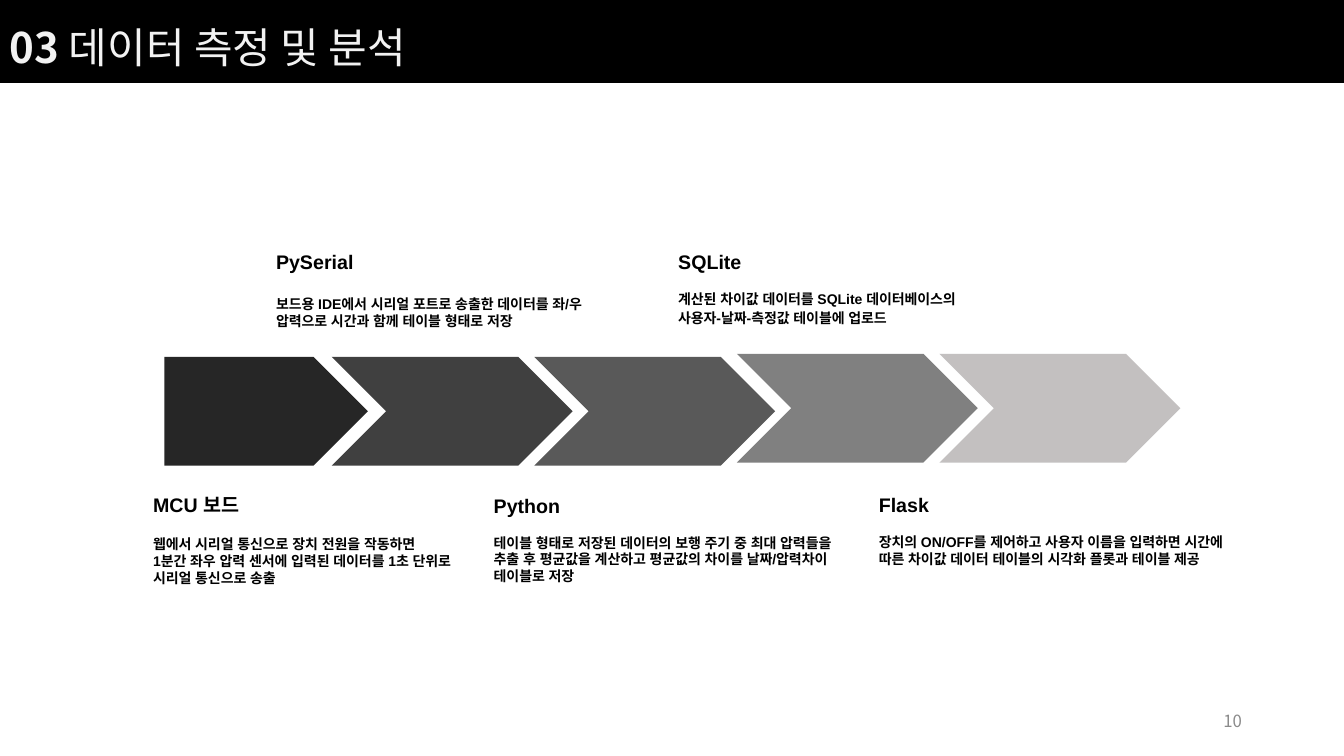
from lxml import etree
from pptx import Presentation
from pptx import util as u
from pptx.dml import color
from pptx.enum import shapes, text
from pptx.oxml import ns

UNIT = 0.1  # inches per grid column and row
COLS, ROWS = 133.33, 75
SANS, CJK = "Arial", "Noto Sans CJK KR"


def grid(n):
    return u.Inches(n * UNIT)


def rgb(code):
    return color.RGBColor.from_string(code)


class Board:
    """Holds the current slide and draws on it in grid units."""

    def __init__(self, slide):
        self.slide = slide

    def block(self, kind, x, y, w, h, fill, home=None, edge=0, alpha=100):
        """Draw a filled preset shape on the slide or in the group home."""
        home = home or self.slide
        item = home.shapes.add_shape(kind, *map(grid, (x, y, w, h)))
        item.shadow.inherit = False
        item.fill.solid()
        item.fill.fore_color.rgb = rgb(fill)
        if edge:
            item.line.color.rgb = rgb(fill)
            item.line.width = u.Pt(edge)
        else:
            item.line.fill.background()
        if alpha < 100:
            tone = item._element.spPr.find(".//" + ns.qn("a:srgbClr"))
            etree.SubElement(tone, ns.qn("a:alpha"), val=str(alpha * 1000))

    def box(self, x, y, w, h, mid=False):
        frame = self.slide.shapes.add_textbox(*map(grid, (x, y, w, h))).text_frame
        frame.word_wrap = True
        if mid:
            frame.vertical_anchor = text.MSO_ANCHOR.MIDDLE
        return frame

    def run(self, para, words, size, face=SANS, ink="000000", bold=True):
        run = para.add_run()
        run.text = words
        font = run.font
        font.size, font.name, font.bold = u.Pt(size), face, bold
        font.color.rgb = rgb(ink)
        etree.SubElement(run._r.get_or_add_rPr(), ns.qn("a:ea"), typeface=face)

    def note(self, x, y, w, h, head, gap, lead, lines):
        """Write a heading, a gap and body lines; lead is the space between lines."""
        frame = self.box(x, y, w, h)
        self.run(frame.paragraphs[0], head, 14)
        for i, line in enumerate(lines):
            para = frame.add_paragraph()
            para.space_before = u.Pt(lead if i else gap)
            self.run(para, line, 10)


NOTES = [
    (26.4, 24.3, 33, 9.1, "PySerial", 16, 0,
     ["보드용 IDE에서 시리얼 포트로 송출한 데이터를 좌/우 압력으로 시간과 함께 테이블 형태로 저장"]),
    (48, 48.5, 36.7, 10.1, "Python", 12, 0,
     ["테이블 형태로 저장된 데이터의 보행 주기 중 최대 압력들을 추출 후 평균값을 계산하고 "
      "평균값의 차이를 날짜/압력차이 테이블로 저장"]),
    (66.3, 24.3, 36.7, 8.8, "SQLite", 12, 2,
     ["계산된 차이값 데이터를 SQLite 데이터베이스의", "사용자-날짜-측정값 테이블에 업로드"]),
    (86.2, 48.4, 36.7, 10.1, "Flask", 12, 0,
     ["장치의 ON/OFF를 제어하고 사용자 이름을 입력하면 시간에 따른 차이값 데이터 테이블의 "
      "시각화 플롯과 테이블 제공"]),
    (14.2, 48.4, 36.7, 10.4, "MCU 보드", 14, 0,
     ["웹에서 시리얼 통신으로 장치 전원을 작동하면",
      "1분간 좌우 압력 센서에 입력된 데이터를 1초 단위로", "시리얼 통신으로 송출"]),
]
# top row, fill, opacity of each chevron
STEPS = [(35.4, "404040", 100), (35.4, "595959", 100),
         (35.1, "808080", 100), (35.1, "AFABAB", 75)]


def main():
    deck = Presentation()
    deck.slide_width, deck.slide_height = grid(COLS), grid(ROWS)
    board = Board(deck.slides.add_slide(deck.slide_layouts[6]))
    kind = shapes.MSO_SHAPE

    page = board.box(94.2, 69.5, 30, 4, mid=True).paragraphs[0]
    page.alignment = text.PP_ALIGN.RIGHT
    board.run(page, "10", 12, CJK, "8B8B8B", False)

    board.block(kind.RECTANGLE, 0, 0, COLS, 8.1, "000000", edge=2)
    title = board.box(0, 1.6, 48, 6.1).paragraphs[0]
    board.run(title, "03 ", 30, CJK, "F2F2F2")
    board.run(title, "데이터 측정 및 분석", 30, CJK, "F2F2F2", False)

    flow = board.slide.shapes.add_group_shape()
    board.block(kind.PENTAGON, 16.3, 35.4, 20.2, 10.8, "262626", flow)
    for i, (top, fill, alpha) in enumerate(STEPS):
        board.block(kind.CHEVRON, 32.9 + 20.1 * i, top, 23.9, 10.8, fill,
                    flow, alpha=alpha)

    for note in NOTES:
        board.note(*note)
    deck.save("out.pptx")


if __name__ == "__main__":
    main()
